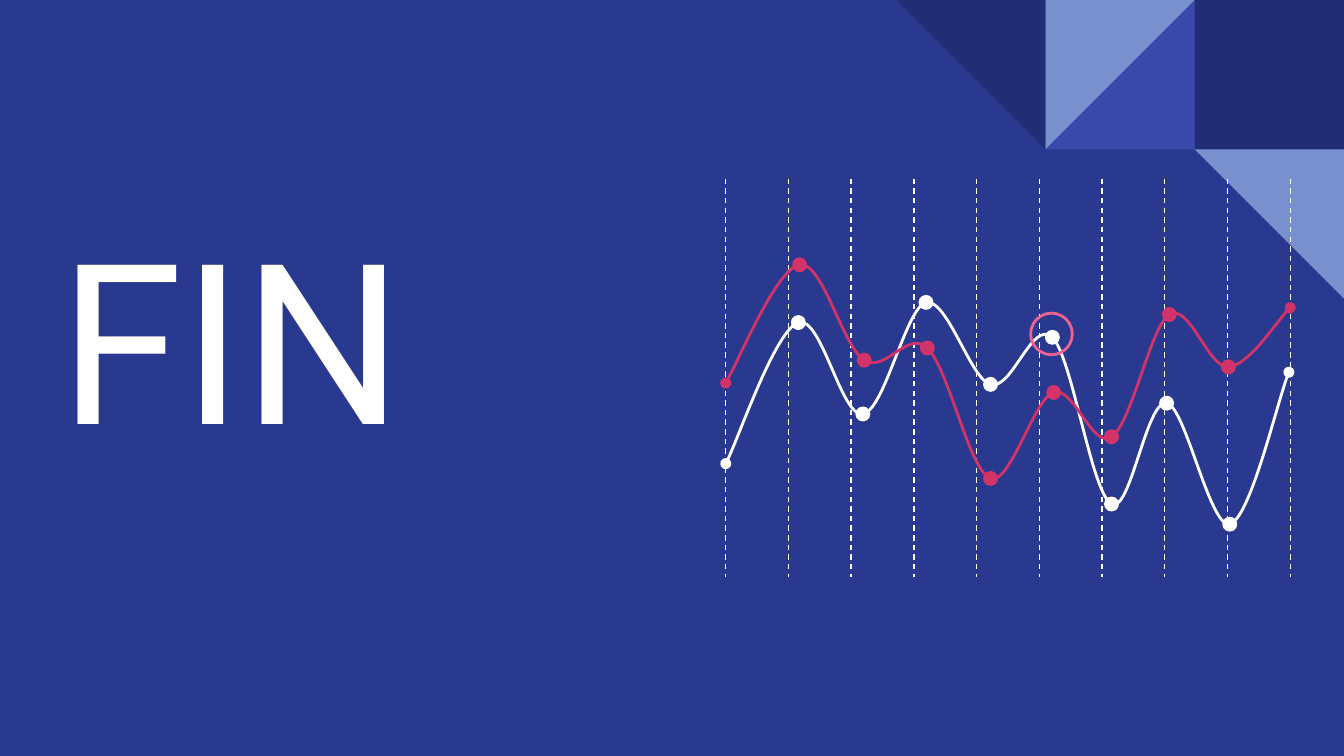
from pptx import Presentation, util as u
from pptx.dml.color import RGBColor
from pptx.enum import dml, shapes, text
from pptx.oxml.ns import qn
from lxml import etree

INK = {"back": "2A3990", "dark": "212D74", "mid": "3949AB", "pale": "7890CD",
       "white": "FFFFFF", "red": "D23369", "ring": "F06292"}
W, H = 10, 5.625
COL = W / 9      # side of a corner tile
GAP = 4.2 / 9    # step between the dashed lines
LEFT, TOP, LOW = 5.4, 1.33, 4.29
DOT, RING = 0.09, 0.31


def rgb(name):
    return RGBColor.from_string(INK[name])


def write(frame, words, font="Roboto", size=18, ink="white", align=text.PP_ALIGN.LEFT):
    para = frame.paragraphs[0]
    para.alignment = align
    run = para.add_run()
    run.text = words
    run.font.name, run.font.size = font, u.Pt(size)
    run.font.color.rgb = rgb(ink)


prs = Presentation()
prs.slide_width, prs.slide_height = u.Inches(W), u.Inches(H)
slide = prs.slides.add_slide(prs.slide_layouts[5])
slide.background.fill.solid()
slide.background.fill.fore_color.rgb = rgb("back")
pool = slide.shapes
Kind = shapes.MSO_SHAPE

# Title
title = pool.title
title.left, title.top = u.Inches(0.34), u.Inches(1.37)
title.width, title.height = u.Inches(9.32), u.Inches(2.22)
frame = title.text_frame
frame.margin_left = frame.margin_right = u.Inches(0.1)
frame.margin_top = frame.margin_bottom = u.Inches(0.1)
frame.vertical_anchor = text.MSO_ANCHOR.BOTTOM
frame.auto_size = text.MSO_AUTO_SIZE.NONE
write(frame, "FIN", size=120)

# Corner tiles: kind, column, row, turn, fill
tiles = [
    (Kind.RECTANGLE, 8, 0, 0, "dark"),
    (Kind.RIGHT_TRIANGLE, 7, 0, 270, "mid"),
    (Kind.RIGHT_TRIANGLE, 7, 0, 90, "pale"),
    (Kind.RIGHT_TRIANGLE, 6, 0, 180, "dark"),
    (Kind.RIGHT_TRIANGLE, 8, 1, 180, "pale"),
]
for kind, col, row, turn, ink in tiles:
    tile = pool.add_shape(kind, u.Inches(col * COL), u.Inches(row * COL),
                          u.Inches(COL), u.Inches(COL))
    tile.rotation = turn
    tile.shadow.inherit = False
    tile.fill.solid()
    tile.fill.fore_color.rgb = rgb(ink)
    tile.line.fill.background()

# Dashed grid
for i in range(10):
    x = u.Inches(LEFT + i * GAP)
    rule = pool.add_connector(shapes.MSO_CONNECTOR.STRAIGHT,
                              x, u.Inches(TOP), x, u.Inches(LOW))
    rule.line.color.rgb = rgb("white")
    rule.line.width = u.Pt(0.75)
    rule.line.dash_style = dml.MSO_LINE.DASH
    etree.SubElement(rule._element.spPr, qn("a:effectLst"))

# Each curve: a start, then two control points and an end per segment
curves = {
    "white": [(5.4, 3.45),
              (5.49, 3.28), (5.77, 2.46), (5.94, 2.4),
              (6.11, 2.34), (6.26, 3.11), (6.42, 3.08),
              (6.58, 3.06), (6.74, 2.29), (6.89, 2.25),
              (7.05, 2.22), (7.22, 2.82), (7.37, 2.86),
              (7.53, 2.91), (7.68, 2.37), (7.83, 2.51),
              (7.98, 2.66), (8.12, 3.67), (8.27, 3.75),
              (8.41, 3.83), (8.53, 2.97), (8.68, 3),
              (8.82, 3.02), (9, 3.93), (9.15, 3.9),
              (9.3, 3.86), (9.51, 2.96), (9.59, 2.77)],
    "red": [(5.4, 2.85),
            (5.49, 2.7), (5.78, 2), (5.95, 1.97),
            (6.12, 1.94), (6.27, 2.58), (6.43, 2.68),
            (6.59, 2.78), (6.75, 2.45), (6.9, 2.59),
            (7.06, 2.74), (7.21, 3.5), (7.37, 3.56),
            (7.52, 3.61), (7.69, 2.97), (7.84, 2.92),
            (7.99, 2.87), (8.13, 3.35), (8.27, 3.25),
            (8.42, 3.16), (8.56, 2.43), (8.7, 2.34),
            (8.85, 2.25), (8.99, 2.74), (9.14, 2.73),
            (9.29, 2.72), (9.52, 2.36), (9.6, 2.29)],
}
# Circles: centre, size, fill, line
rounds = [((LEFT + 5 * GAP + 0.09, 2.485), RING, None, "ring")]
for ink, pts in curves.items():
    # The builder keeps whole units only, so it is fed EMU
    first, *rest = [(u.Inches(x), u.Inches(y)) for x, y in pts]
    pen = pool.build_freeform(*first)
    pen.add_line_segments(rest, close=False)
    curve = pen.convert_to_shape()
    curve.shadow.inherit = False
    curve.fill.background()
    curve.line.color.rgb = rgb(ink)
    curve.line.width = u.Pt(1.5)
    for end in ("a:headEnd", "a:tailEnd"):
        etree.SubElement(curve.line._ln, qn(end), type="oval")
    # Merge every three straight steps into one Bezier segment
    steps = list(curve._element.iter(qn("a:lnTo")))
    for i in range(0, len(steps), 3):
        bend = etree.SubElement(steps[i].getparent(), qn("a:cubicBezTo"))
        for step in steps[i:i + 3]:
            bend.append(step[0])
            step.getparent().remove(step)
    rounds += [(p, DOT, ink, ink) for p in pts[3:-1:3]]

for (x, y), size, fill, ink in rounds:
    dot = pool.add_shape(Kind.OVAL, u.Inches(x - size / 2), u.Inches(y - size / 2),
                         u.Inches(size), u.Inches(size))
    dot.shadow.inherit = False
    if fill:
        dot.fill.solid()
        dot.fill.fore_color.rgb = rgb(fill)
    else:
        dot.fill.background()
    dot.line.color.rgb = rgb(ink)
    dot.line.width = u.Pt(1.5)

prs.save("out.pptx")
